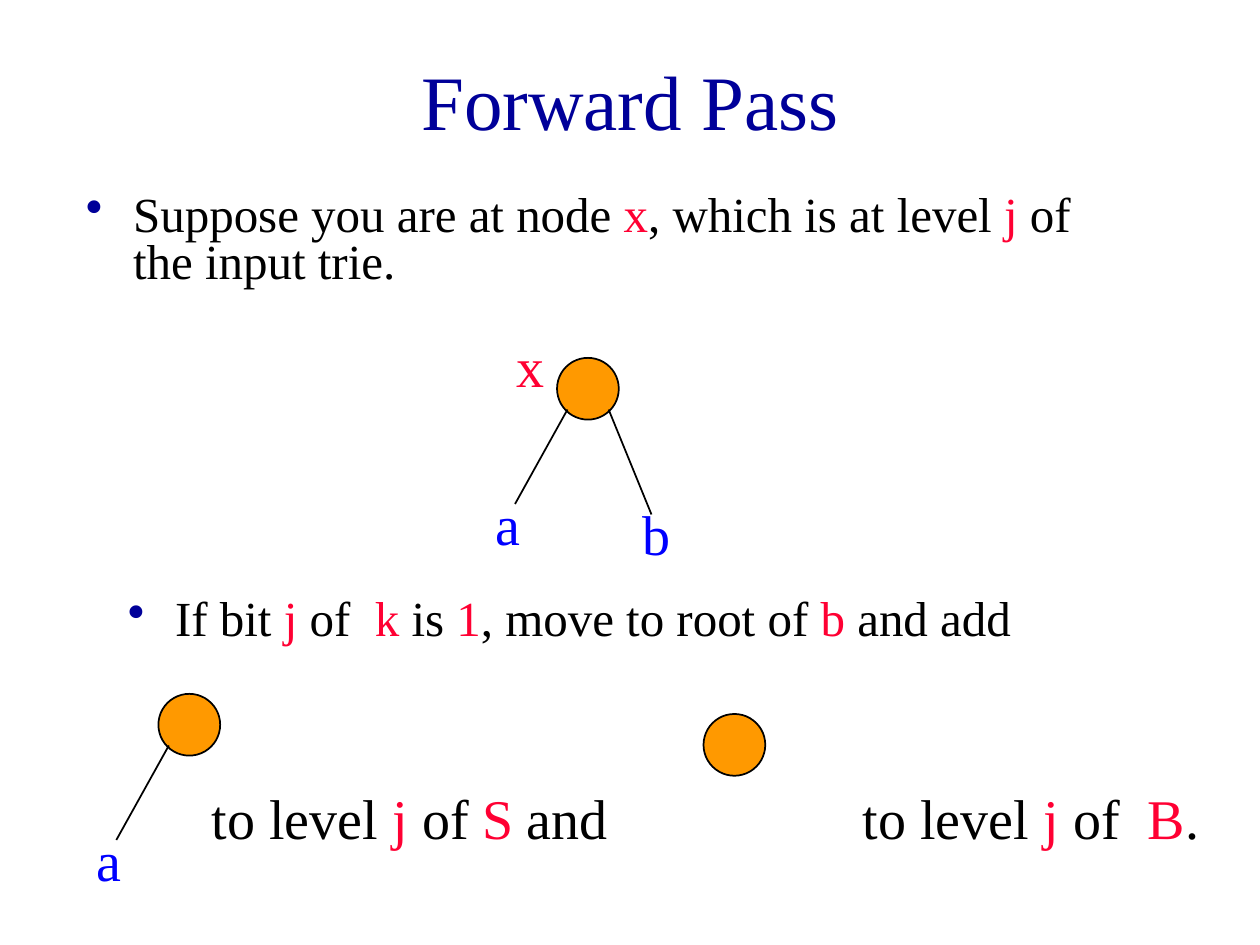
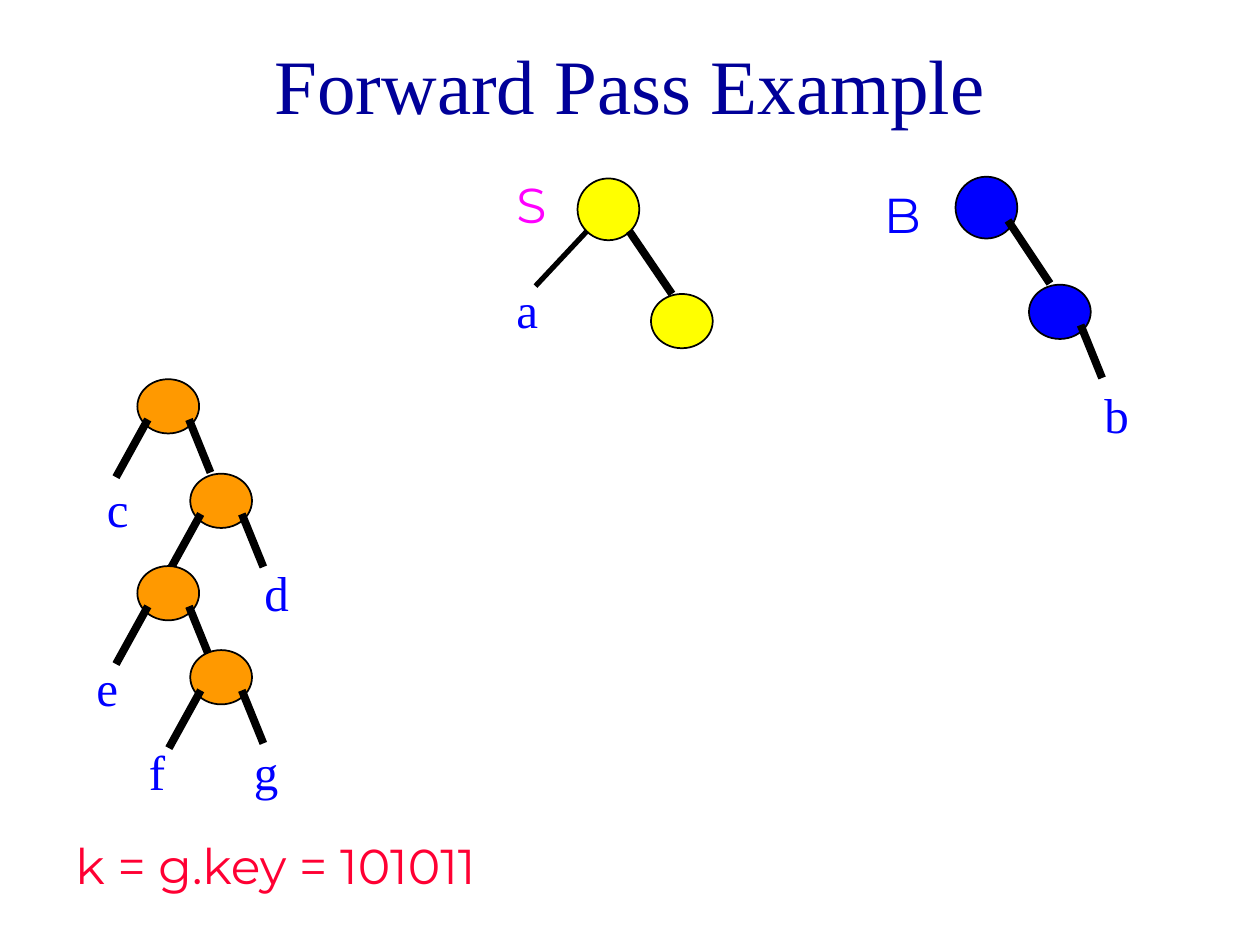
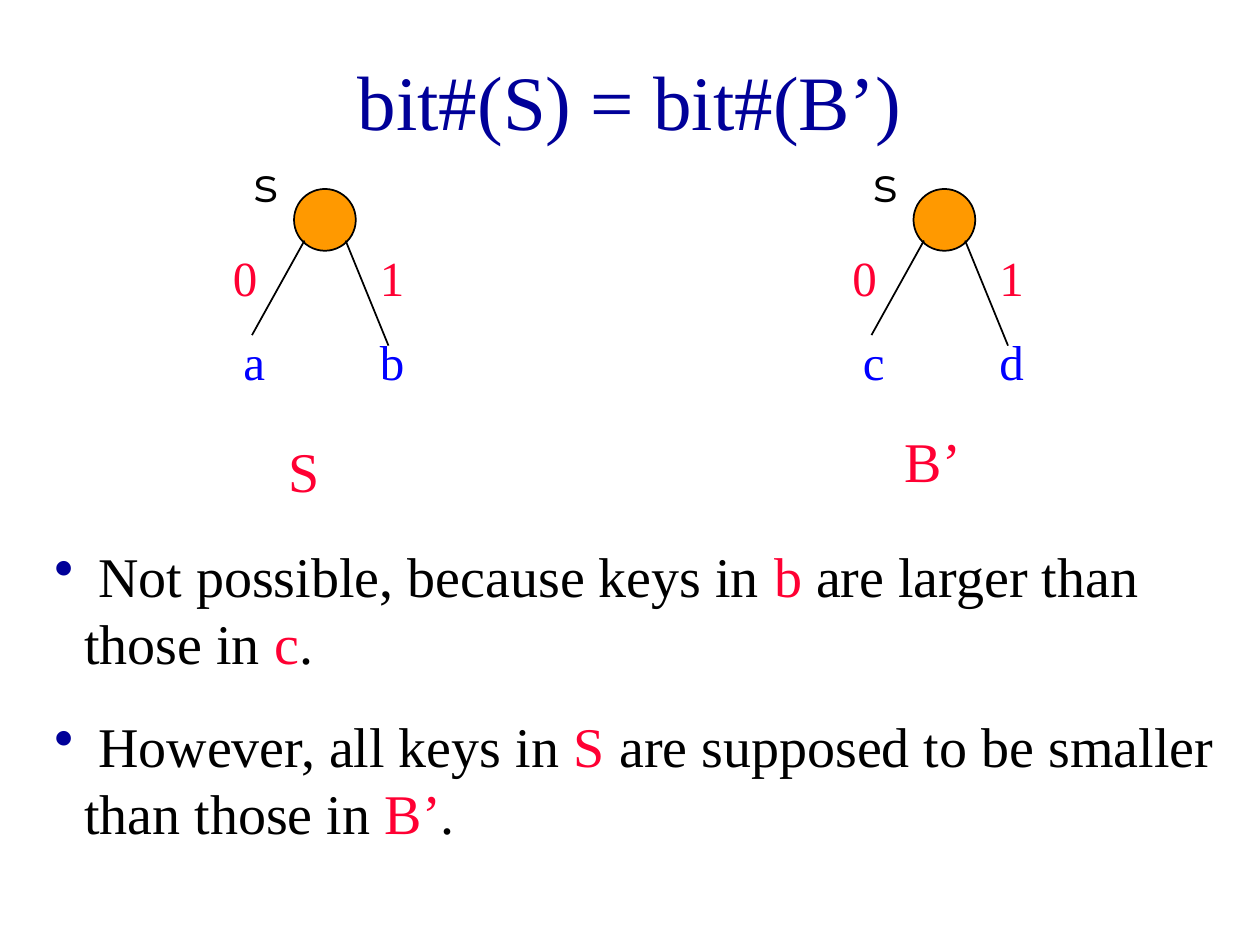
from dataclasses import dataclass
from lxml.etree import SubElement
from pptx import Presentation
from pptx.dml.color import RGBColor
from pptx.enum.shapes import MSO_CONNECTOR, MSO_SHAPE
from pptx.enum.text import MSO_ANCHOR, PP_ALIGN
from pptx.oxml.ns import qn
from pptx.util import Pt


@dataclass(frozen=True)
class Theme:
    """Colours, fonts and type sizes of the deck."""
    navy: str = "000099"
    black: str = "000000"
    white: str = "FFFFFF"
    red: str = "FF0033"
    blue: str = "0000FF"
    pink: str = "FF00FF"
    orange: str = "FF9900"
    yellow: str = "FFFF00"
    serif: str = "Times New Roman"
    sans: str = "Montserrat"
    head: int = 44
    large: int = 32
    mid: int = 28
    thin: float = 1
    bold: float = 4.5


T = Theme()
SIZE = 35.3
FLAT = 31
TALL = {"left": (6, 29.5, -24, 83.5), "right": (29.5, 29.5, 54, 89.5)}
SHORT = {"left": (6, 23, -12.2, 56), "right": (29.5, 23, 41.8, 53.3)}


def tint(hue):
    """Turn a hex string into a colour."""
    return RGBColor.from_string(hue)


def style(run, size, hue, face=T.serif):
    """Format one run."""
    run.font.size = Pt(size)
    run.font.name = face
    run.font.color.rgb = tint(hue)


def fill_text(para, text, size, hue=T.black, face=T.serif):
    """Write text into a paragraph, with starred parts in red."""
    for i, part in enumerate(text.split("*")):
        if part:
            run = para.add_run()
            run.text = part
            style(run, size, T.red if i % 2 else hue, face)


def add_title(deck, text, high=90):
    """Add a title-only slide and place its title."""
    slide = deck.slides.add_slide(deck.slide_layouts[5])
    title = slide.shapes.title
    title.left, title.top, title.width, title.height = Pt(54), Pt(12), Pt(612), Pt(high)
    frame = title.text_frame
    frame.text = text
    frame.vertical_anchor = MSO_ANCHOR.MIDDLE
    para = frame.paragraphs[0]
    para.alignment = PP_ALIGN.CENTER
    style(para.runs[0], T.head, T.navy)
    return slide


def add_frame(slide, x, y, wide, high):
    """Add a wrapping text box."""
    box = slide.shapes.add_textbox(Pt(x), Pt(y), Pt(wide), Pt(high))
    box.text_frame.word_wrap = True
    return box


def add_label(slide, text, x, y, wide=36, size=T.mid, hue=T.blue, face=T.serif, back=None):
    """Add a one-line label."""
    box = add_frame(slide, x, y, wide, size * 1.2 + 7.2)
    if back:
        box.fill.solid()
        box.fill.fore_color.rgb = tint(back)
    fill_text(box.text_frame.paragraphs[0], text, size, hue, face)


def add_list(slide, items, x, y, wide, high, size, hang, space=1.0):
    """Add a bulleted list with a hanging indent."""
    frame = add_frame(slide, x, y, wide, high).text_frame
    for i, item in enumerate(items):
        para = frame.add_paragraph() if i else frame.paragraphs[0]
        para.line_spacing = space
        if i:
            para.space_before = Pt(20)
        props = para._p.get_or_add_pPr()
        props.set("marL", str(Pt(hang)))
        props.set("indent", str(-Pt(hang)))
        shade = SubElement(props, qn("a:buClr"))
        SubElement(shade, qn("a:srgbClr"), val=T.navy)
        SubElement(props, qn("a:buChar"), char="•")
        fill_text(para, item, size)


def add_node(slide, x, y, hue=T.orange, high=SIZE):
    """Add a trie node."""
    node = slide.shapes.add_shape(MSO_SHAPE.OVAL, Pt(x), Pt(y), Pt(SIZE), Pt(high))
    node.shadow.inherit = False
    node.fill.solid()
    node.fill.fore_color.rgb = tint(hue)
    node.line.color.rgb = tint(T.black)
    node.line.width = Pt(T.thin)


def add_edge(slide, x1, y1, x2, y2, weight=T.bold):
    """Add a straight edge."""
    edge = slide.shapes.add_connector(MSO_CONNECTOR.STRAIGHT, Pt(x1), Pt(y1), Pt(x2), Pt(y2))
    edge.line.color.rgb = tint(T.black)
    edge.line.width = Pt(weight)
    SubElement(edge._element.spPr, qn("a:effectLst"))


def add_fork(slide, x, y, sides=("left", "right"), hue=T.orange, flat=False):
    """Add a node with the edges that leave it."""
    add_node(slide, x, y, hue, FLAT if flat else SIZE)
    for side in sides:
        x1, y1, x2, y2 = (SHORT if flat else TALL)[side]
        add_edge(slide, x + x1, y + y1, x + x2, y + y2, T.bold if flat else T.thin)


def draw_pass(deck):
    """Build the slide on one step of the forward pass."""
    slide = add_title(deck, "Forward Pass")
    add_list(slide, ["Suppose you are at node *x*, which is at level* j* of the input trie."],
             42, 108, 612, 66, T.mid, 27, 0.8)
    add_fork(slide, 318.3, 204.5)
    add_label(slide, "a", 276, 276, 54, T.large)
    add_label(slide, "*x*", 288, 186, 66, T.large)
    add_label(slide, "b", 360, 282, 36, T.large)
    add_list(slide, ["If bit *j* of * k* is *1*, move to root of *b* and add"],
             66, 336, 612, 42, T.mid, 27, 0.9)
    add_fork(slide, 90.5, 396.5, ["left"])
    add_label(slide, "a", 48, 468, 54, T.large)
    for text, x, wide in (("to level *j* of *S*", 114, 198), ("and", 294, 78),
                          ("to level* j* of  *B*.", 486, 234)):
        add_label(slide, text, x, 444, wide, T.large, T.black)
    add_node(slide, 402, 408)


def draw_trees(deck):
    """Build the slide with the example tries."""
    slide = add_title(deck, "Forward Pass Example", 72)
    for x, y in ((78.5, 216.7), (108.7, 270.7), (78.5, 323.5), (108.7, 371.5)):
        add_fork(slide, x, y, flat=True)
    for text, x, y in (("c", 54, 270), ("d", 144, 318), ("e", 48, 372), ("f", 78, 420),
                       ("g", 138, 420), ("b", 624, 216), ("a", 288, 156)):
        add_label(slide, text, x, y)
    add_node(slide, 546, 101, T.blue)
    add_label(slide, "B", 498, 102, 42, face=T.sans)
    add_fork(slide, 588, 162.7, ["right"], T.blue, True)
    add_edge(slide, 576, 126, 600, 162)
    add_node(slide, 330, 102, T.yellow)
    add_edge(slide, 335.5, 132, 306, 163.5, 3)
    add_label(slide, "S", 288, 96, 42, hue=T.pink, face=T.sans)
    add_node(slide, 372, 168, T.yellow, FLAT)
    add_edge(slide, 359.5, 132, 384, 168)
    add_label(slide, "k = g.key = 101011", 36, 474, 390, hue=T.red, face=T.sans, back=T.white)


def draw_bits(deck):
    """Build the slide that compares equal bit numbers."""
    slide = add_title(deck, "bit#(S) = bit#(B’)")
    for x, low, high in ((168, "a", "b"), (522, "c", "d")):
        add_fork(slide, x, 108)
        add_label(slide, "*0*", x - 42, 138)
        add_label(slide, "*1*", x + 42, 138)
        add_label(slide, "s", x - 30, 84, 48, hue=T.black, face=T.sans)
        add_label(slide, low, x - 36, 186, 48)
        add_label(slide, high, x + 42, 186, 48)
    add_label(slide, "* S*", 150, 246, 48, T.large, back=T.white)
    add_label(slide, "*B’*", 510, 240, 54, T.large, back=T.white)
    add_list(slide, [" Not possible, because keys in *b* are larger than those in *c*.",
                     " However, all keys in *S* are supposed to be smaller than those in *B’*."],
             24, 306, 696, 181, T.large, 17)


def main():
    """Build and save the deck."""
    deck = Presentation()
    deck.slide_width, deck.slide_height = Pt(720), Pt(540)
    draw_pass(deck)
    draw_trees(deck)
    draw_bits(deck)
    deck.save("out.pptx")


if __name__ == "__main__":
    main()
